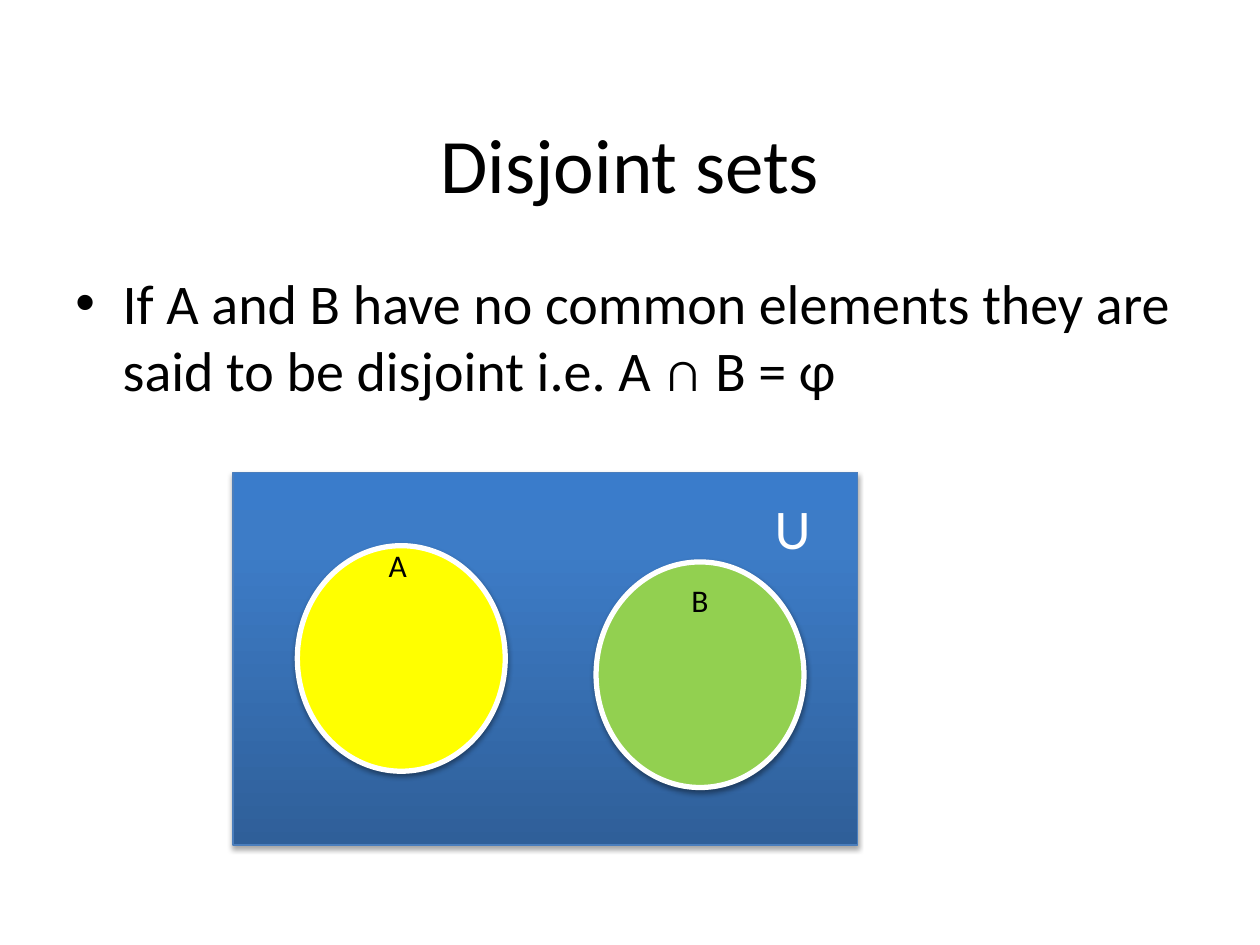
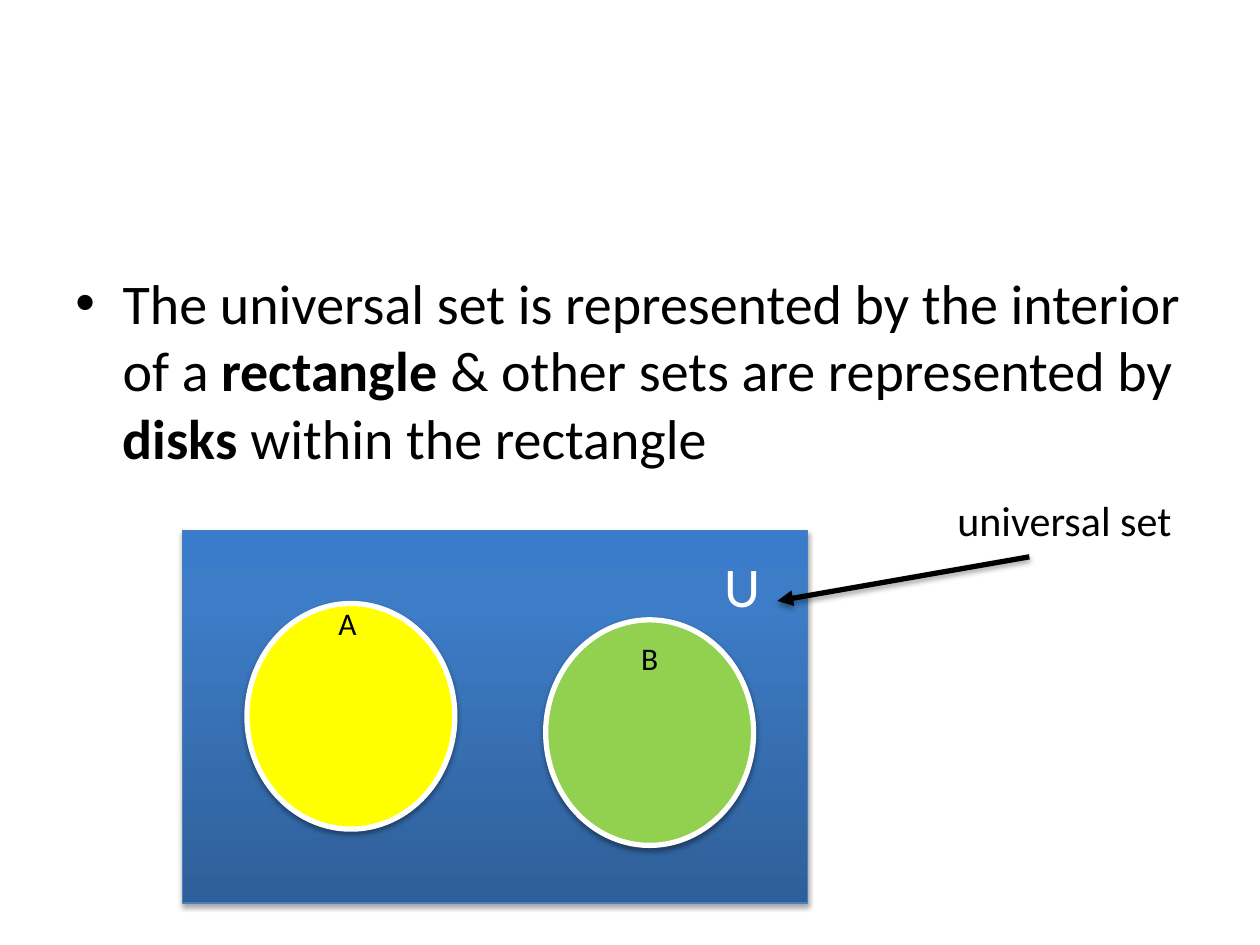
from lxml.etree import SubElement
from copy import deepcopy
from pptx import Presentation
from pptx.dml.color import RGBColor
from pptx.enum.shapes import MSO_CONNECTOR, MSO_SHAPE
from pptx.enum.text import MSO_ANCHOR, PP_ALIGN
from pptx.oxml.ns import qn
from pptx.util import Pt

FONT = "Calibri"
COLORS = {
    "text": "000000",
    "white": "FFFFFF",
    "set_a": "FFFF00",
    "set_b": "92D050",
    "universe_line": "4B7EBC",
    "shadow": "000000",
}
UNIVERSE_STOPS = [(0, "2F5F99"), (0.8, "3D7CC7"), (1, "3A7CCB")]

UNIVERSE_W, UNIVERSE_H = 357, 213
DISK_W, DISK_H = 118.8, 128.9
# name, fill, disk offset in the universe, label offset in the disk
DISKS = [
    ("A", "set_a", (36.7, 41.8), (-2, 0.3)),
    ("B", "set_b", (207.4, 51.1), (0, 10.9)),
]


def rgb(name):
    return RGBColor.from_string(COLORS[name])


def add_run(p, text, size, color="text", bold=False):
    r = p.add_run()
    r.text = text
    r.font.name = FONT
    r.font.size = Pt(size)
    r.font.bold = bold
    r.font.color.rgb = rgb(color)


def add_shadow(shape, alpha, distance):
    """Cast a soft shadow straight down; call after fill and line are set."""
    effects = SubElement(shape._element.spPr, qn("a:effectLst"))
    shadow = SubElement(effects, qn("a:outerShdw"), blurRad=str(Pt(3.1)),
                        dist=str(Pt(distance)), dir="5400000", rotWithShape="0")
    color = SubElement(shadow, qn("a:srgbClr"), val=COLORS["shadow"])
    SubElement(color, qn("a:alpha"), val=str(alpha * 1000))


def add_title(s, text):
    title = s.shapes.title
    title.left, title.top, title.width, title.height = Pt(36), Pt(48), Pt(648), Pt(90)
    tf = title.text_frame
    tf.vertical_anchor = MSO_ANCHOR.MIDDLE
    p = tf.paragraphs[0]
    p.alignment = PP_ALIGN.CENTER
    add_run(p, text, 44)


def add_body(s, runs):
    """Add one bullet made of (text, bold) runs and return the text frame."""
    tf = s.shapes.add_textbox(Pt(36), Pt(150), Pt(648), Pt(333)).text_frame
    tf.word_wrap = True
    p = tf.paragraphs[0]
    pPr = p._p.get_or_add_pPr()
    pPr.set("marL", str(Pt(27)))
    pPr.set("indent", str(Pt(-27)))
    SubElement(pPr, qn("a:buFont"), typeface="Arial")
    SubElement(pPr, qn("a:buChar"), char="•")
    for text, bold in runs:
        add_run(p, text, 32, bold=bold)
    return tf


def add_indented_line(tf, text):
    p = tf.add_paragraph()
    p._p.get_or_add_pPr().set("marL", str(Pt(504)))
    p.space_before = Pt(14)
    add_run(p, text, 24)


def add_universe(s, left, top):
    rect = s.shapes.add_shape(MSO_SHAPE.RECTANGLE, Pt(left), Pt(top),
                              Pt(UNIVERSE_W), Pt(UNIVERSE_H))
    rect.fill.gradient()
    rect.fill.gradient_angle = 90
    stop_list = rect._element.spPr.find(".//" + qn("a:gsLst"))
    stop_list.append(deepcopy(stop_list[-1]))
    for stop, (position, color) in zip(rect.fill.gradient_stops, UNIVERSE_STOPS):
        stop.position = position
        stop.color.rgb = RGBColor.from_string(color)
    rect.line.color.rgb = rgb("universe_line")
    rect.line.width = Pt(0.75)
    add_shadow(rect, 35, 1.8)

    tf = rect.text_frame
    tf.vertical_anchor = MSO_ANCHOR.TOP
    tf.margin_top, tf.margin_right = Pt(12), Pt(27)
    p = tf.paragraphs[0]
    p.alignment = PP_ALIGN.RIGHT
    add_run(p, "U", 32, "white")


def add_disk(s, left, top, fill):
    disk = s.shapes.add_shape(MSO_SHAPE.OVAL, Pt(left), Pt(top), Pt(DISK_W), Pt(DISK_H))
    disk.fill.solid()
    disk.fill.fore_color.rgb = rgb(fill)
    disk.line.color.rgb = rgb("white")
    disk.line.width = Pt(3)
    add_shadow(disk, 38, 1.6)


def add_disk_label(s, left, top, text):
    tf = s.shapes.add_textbox(Pt(left), Pt(top), Pt(DISK_W), Pt(22)).text_frame
    tf.word_wrap = True
    tf.margin_top = tf.margin_bottom = 0
    p = tf.paragraphs[0]
    p.alignment = PP_ALIGN.CENTER
    add_run(p, text, 18)


def add_venn(s, left, top):
    add_universe(s, left, top)
    for name, fill, (dx, dy), (label_dx, label_dy) in DISKS:
        x, y = left + dx, top + dy
        add_disk(s, x, y, fill)
        add_disk_label(s, x + label_dx, y + label_dy, name)


def add_arrow(s, tip, end):
    arrow = s.shapes.add_connector(MSO_CONNECTOR.STRAIGHT, *map(Pt, tip + end))
    arrow.line.color.rgb = rgb("text")
    arrow.line.width = Pt(3)
    SubElement(arrow.line._get_or_add_ln(), qn("a:headEnd"), type="triangle")
    add_shadow(arrow, 35, 1.8)


def main():
    prs = Presentation()
    prs.slide_width, prs.slide_height = Pt(720), Pt(540)
    title_only, blank = prs.slide_layouts[5], prs.slide_layouts[6]

    s = prs.slides.add_slide(title_only)
    add_title(s, "Disjoint sets")
    add_body(s, [("If A and B have no common elements they are said to be "
                  "disjoint i.e. A ∩ B = φ", False)])
    add_venn(s, 133.2, 270)

    s = prs.slides.add_slide(blank)
    tf = add_body(s, [
        ("The universal set is represented by the interior of a ", False),
        ("rectangle ", True),
        ("& other sets are represented by ", False),
        ("disks", True),
        (" within the rectangle", False),
    ])
    add_indented_line(tf, "universal set")
    add_venn(s, 104.4, 303.1)
    add_arrow(s, (444.2, 343.4), (588.2, 318.2))

    prs.save("out.pptx")


if __name__ == "__main__":
    main()
